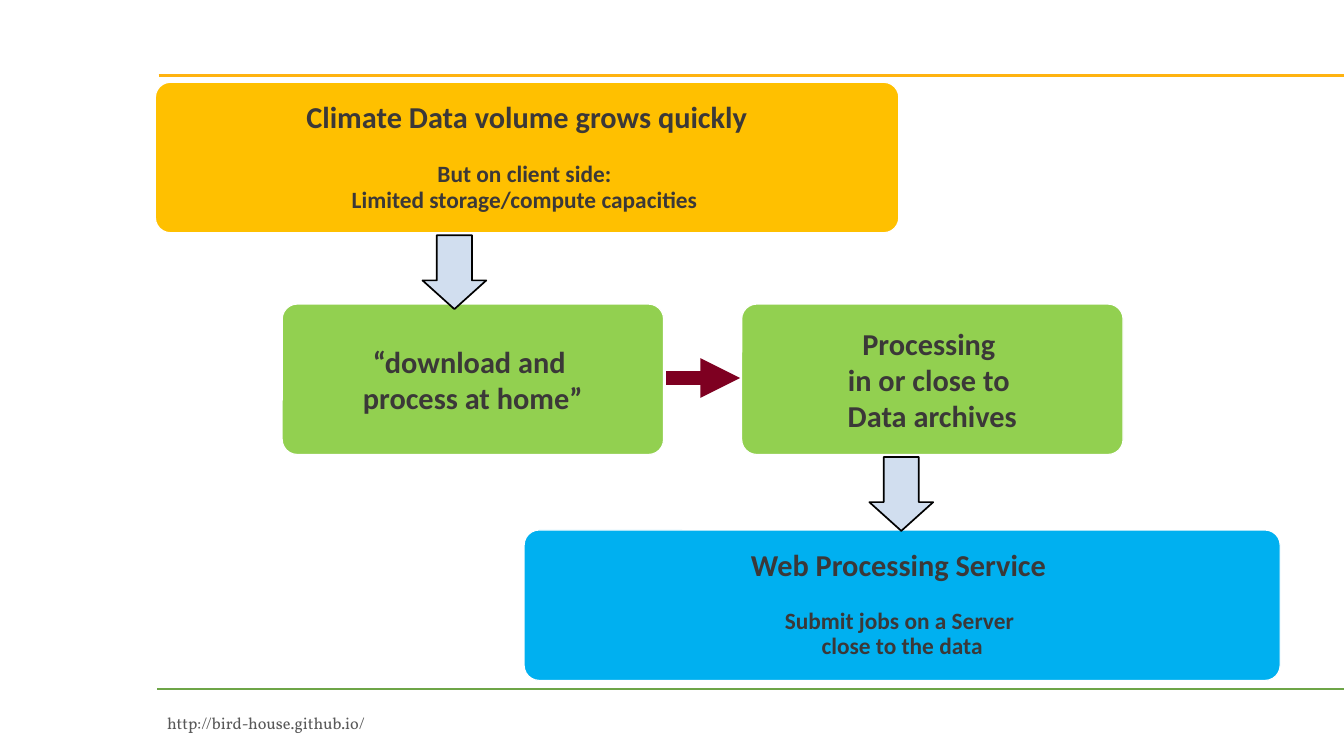
from dataclasses import dataclass

import lxml.etree
import pptx
import pptx.dml.color
import pptx.enum.dml
import pptx.enum.shapes
import pptx.enum.text
import pptx.oxml.ns
import pptx.util

Inches = pptx.util.Inches
Pt = pptx.util.Pt
Shape = pptx.enum.shapes.MSO_SHAPE
Anchor = pptx.enum.text.MSO_ANCHOR
Align = pptx.enum.text.PP_ALIGN


@dataclass(frozen=True)
class Theme:
    amber: str = "FFC000"
    green: str = "92D050"
    blue: str = "00B0F0"
    pale: str = "D1DEEF"
    wine: str = "7E0021"
    white: str = "FFFFFF"
    black: str = "000000"
    ink: str = "3B3838"
    gray: str = "595959"
    top: str = "FFB310"
    base: str = "6DA547"
    font: str = "Calibri"
    serif: str = "Vollkorn"
    head: float = 26
    body: float = 20
    foot: float = 14


@dataclass(frozen=True)
class Box:
    left: float
    top: float
    width: float
    fill: str
    heads: tuple[str, ...]
    notes: tuple[str, ...] = ()
    gap: float = 0


@dataclass(frozen=True)
class Rule:
    left: float
    right: float
    y: float
    color: str
    width: float
    arrow: bool = False


THEME = Theme()
BOX_HIGH = 1.79

RULES = (
    Rule(1.87, 16, 8.2, THEME.base, 2),
    Rule(1.89, 16, 0.9, THEME.top, 2.25),
)
STEP = Rule(7.93, 8.81, 4.5, THEME.wine, 11.34, arrow=True)

BOXES = (
    Box(3.36, 3.62, 4.54, THEME.green, ("“download and ", "process at home”")),
    Box(8.83, 3.62, 4.54, THEME.green,
        ("Processing ", "in or close to ", "Data archives")),
    Box(1.85, 0.98, 8.85, THEME.amber, ("Climate Data volume grows quickly",),
        ("But on client side: ", "Limited storage/compute capacities "), 24),
    Box(6.24, 6.31, 9, THEME.blue, ("Web Processing Service ",),
        ("Submit jobs on a Server ", "close to the data"), 22),
)
DROPS = ((5.03, 2.8), (10.35, 5.44))


def rgb(color: str) -> pptx.dml.color.RGBColor:
    return pptx.dml.color.RGBColor.from_string(color)


def paint(shape, fill: str, line: str, width: float) -> None:
    shape.shadow.inherit = False
    shape.fill.solid()
    shape.fill.fore_color.rgb = rgb(fill)
    shape.line.color.rgb = rgb(line)
    shape.line.width = Pt(width)


def style(font, name: str, size: float, color: str, bold: bool) -> None:
    font.name = name
    font.size = Pt(size)
    font.color.rgb = rgb(color)
    font.bold = bold


def add_box(slide, box: Box) -> None:
    shape = slide.shapes.add_shape(
        Shape.ROUNDED_RECTANGLE, Inches(box.left), Inches(box.top),
        Inches(box.width), Inches(BOX_HIGH))
    shape.adjustments[0] = 0.1
    paint(shape, box.fill, THEME.white, 1)
    frame = shape.text_frame
    frame.word_wrap = True
    frame.vertical_anchor = Anchor.MIDDLE
    frame.margin_left = frame.margin_right = Inches(0.08)
    frame.margin_top = frame.margin_bottom = Inches(0.13)
    frame.text = "\n".join(box.heads + box.notes)
    count = len(box.heads)
    for i, para in enumerate(frame.paragraphs):
        para.alignment = Align.CENTER
        if box.notes:
            para.line_spacing = 0.9
        if i == count:
            para.space_before = Pt(box.gap)
        size = THEME.head if i < count else THEME.body
        style(para.font, THEME.font, size, THEME.ink, True)


def add_rule(slide, rule: Rule) -> None:
    line = slide.shapes.add_connector(
        pptx.enum.shapes.MSO_CONNECTOR.STRAIGHT, Inches(rule.left),
        Inches(rule.y), Inches(rule.right), Inches(rule.y))
    line.line.color.rgb = rgb(rule.color)
    line.line.width = Pt(rule.width)
    qn = pptx.oxml.ns.qn
    if rule.arrow:
        stroke = line.line._get_or_add_ln()
        lxml.etree.SubElement(stroke, qn("a:tailEnd"), type="triangle")
    lxml.etree.SubElement(line._element.spPr, qn("a:effectLst"))


def add_drop(slide, left: float, top: float) -> None:
    """Draw a block arrow that points down to the next box."""
    shape = slide.shapes.add_shape(
        Shape.DOWN_ARROW, Inches(left), Inches(top), Inches(0.76), Inches(0.88))
    shape.adjustments[0] = 0.55
    shape.adjustments[1] = 0.45
    paint(shape, THEME.pale, THEME.black, 1.45)


def add_foot(slide) -> None:
    frame = slide.shapes.add_textbox(
        Inches(1.89), Inches(8.44), Inches(2.73), Inches(0.33)).text_frame
    frame.word_wrap = False
    frame.text = "http://bird-house.github.io/"
    style(frame.paragraphs[0].font, THEME.serif, THEME.foot, THEME.gray, False)


def main() -> None:
    deck = pptx.Presentation()
    deck.slide_width = Inches(16)
    deck.slide_height = Inches(9)
    slide = deck.slides.add_slide(deck.slide_layouts.get_by_name("Blank"))
    for rule in RULES:
        add_rule(slide, rule)
    add_foot(slide)
    for box in BOXES:
        add_box(slide, box)
    add_rule(slide, STEP)
    for left, top in DROPS:
        add_drop(slide, left, top)
    deck.save("out.pptx")


if __name__ == "__main__":
    main()
